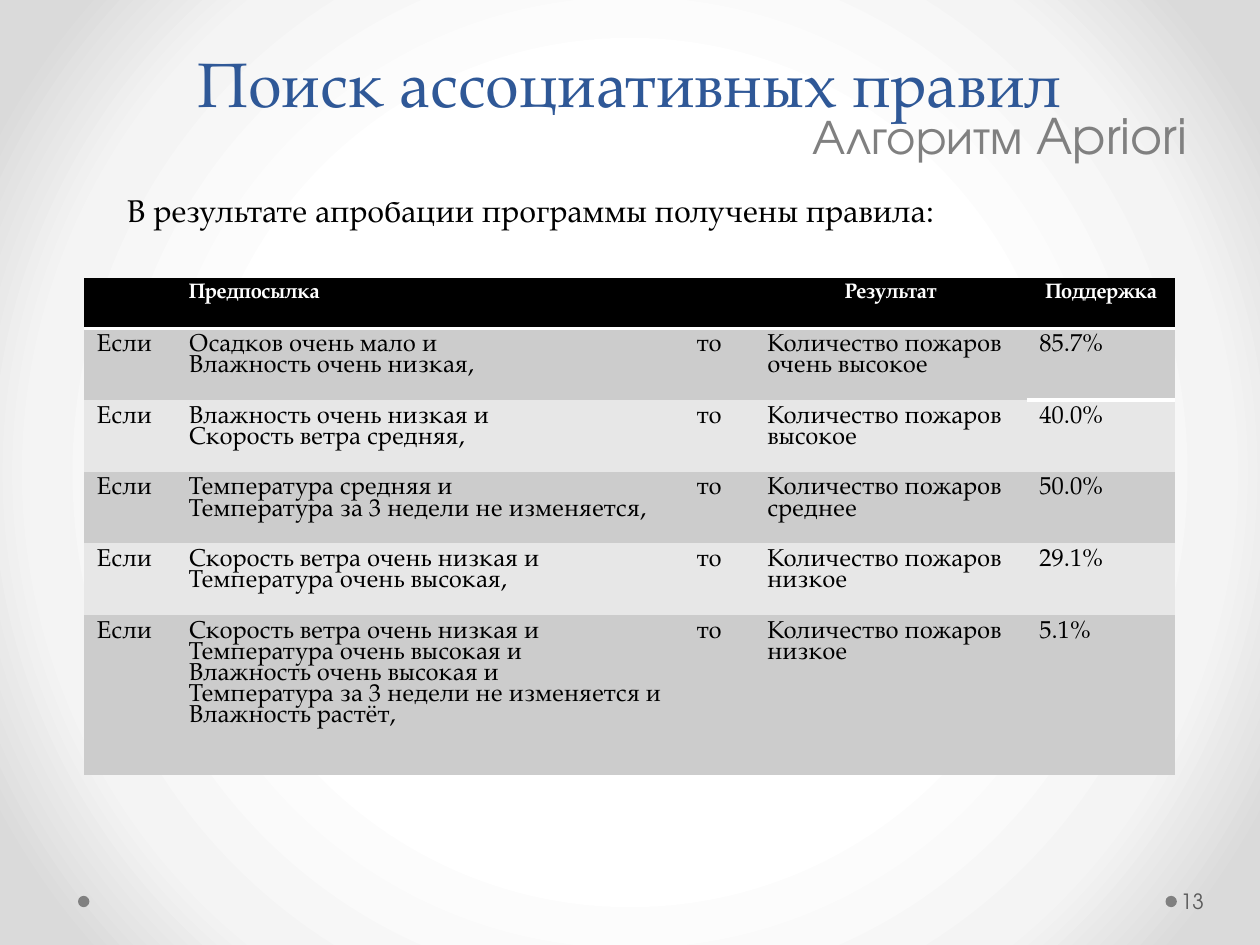
import pptx
import pptx.dml.color
import pptx.enum.shapes
import pptx.enum.text
import pptx.oxml
import pptx.util
from lxml import etree

Pt = pptx.util.Pt
Align = pptx.enum.text.PP_ALIGN
Anchor = pptx.enum.text.MSO_ANCHOR
SERIF, SANS = "TeX Gyre Pagella", "TeX Gyre Adventor"
NS = 'xmlns:a="http://schemas.openxmlformats.org/drawingml/2006/main"'
NS_P = 'xmlns:p="http://schemas.openxmlformats.org/presentationml/2006/main"'
PLAIN_TABLE = "{2D5ABB26-0587-4C30-8999-92F81FD0307C}"

HEADINGS = ["", "Предпосылка", "", "Результат", "Поддержка"]
RULES = [
    ("Осадков очень мало и\nВлажность очень низкая,", "очень высокое", "85.7%"),
    ("Влажность очень низкая и\nСкорость ветра средняя,", "высокое", "40.0%"),
    ("Температура средняя и\nТемпература за 3 недели не изменяется,", "среднее", "50.0%"),
    ("Скорость ветра очень низкая и Температура очень высокая,", "низкое", "29.1%"),
    ("Скорость ветра очень низкая и\nТемпература очень высокая и\n"
     "Влажность очень высокая и\nТемпература за 3 недели не изменяется и\n"
     "Влажность растёт,", "низкое", "5.1%"),
]


def color(hex_code):
    """Turn a hex string into a colour."""
    return pptx.dml.color.RGBColor.from_string(hex_code)


def write(frame, text, size, font, ink, align=Align.LEFT, spacing=None, bold=False):
    """Fill a text frame with evenly styled paragraphs."""
    frame.text = text
    for paragraph in frame.paragraphs:
        paragraph.alignment = align
        paragraph.line_spacing = spacing
        paragraph.font.size = Pt(size)
        paragraph.font.name = font
        paragraph.font.bold = bold
        paragraph.font.color.rgb = color(ink)


def add_text(slide, box, text, size, font, ink, anchor=Anchor.TOP, left_inset=7.2, **style):
    """Place a wrapping text box."""
    frame = slide.shapes.add_textbox(*map(Pt, box)).text_frame
    frame.word_wrap = True
    frame.vertical_anchor = anchor
    frame.margin_left = Pt(left_inset)
    write(frame, text, size, font, ink, **style)


def paint_background(slide):
    """Give the slide a radial gradient from white to grey."""
    stops = "".join(
        f'<a:gs pos="{percent * 1000}"><a:srgbClr val="{shade}"/></a:gs>'
        for percent, shade in [(50, "FFFFFF"), (76, "F4F4F4"), (92, "DADADA")])
    background = pptx.oxml.parse_xml(
        f'<p:bg {NS} {NS_P}><p:bgPr><a:gradFill rotWithShape="1"><a:gsLst>{stops}</a:gsLst>'
        '<a:path path="circle"><a:fillToRect l="50000" t="50000" r="50000" b="50000"/></a:path>'
        '</a:gradFill><a:effectLst/></p:bgPr></p:bg>')
    slide.element.cSld.insert(0, background)


def add_heading(slide, box):
    """Place the title, with the subtitle under its right end."""
    left, top, width, height = box
    add_text(slide, box, "Поиск ассоциативных правил", 36, SERIF, "2F5897",
             anchor=Anchor.BOTTOM, align=Align.CENTER, spacing=Pt(58))
    add_text(slide, (left + 341.3, top + 51.1, 308.2, 22.3), "Алгоритм Apriori", 28, SANS,
             "808080", anchor=Anchor.MIDDLE, align=Align.RIGHT)


def border(cell, side, width):
    """Draw a white line on one side (T or B) of a cell."""
    line = etree.fromstring(
        f'<a:ln{side} {NS} w="{Pt(width)}"><a:solidFill><a:srgbClr val="FFFFFF"/>'
        f'</a:solidFill></a:ln{side}>')
    cell._tc.get_or_add_tcPr().insert(0, line)


def add_rules(slide, box):
    """Place the table of association rules."""
    rows = [HEADINGS] + [["Если", premise, "то", f"Количество пожаров {result}", support]
                         for premise, result, support in RULES]
    frame = slide.shapes.add_table(len(rows), len(HEADINGS), *map(Pt, box))
    table = frame.table
    table.first_row = table.horz_banding = False
    table._tbl.tblPr.find(pptx.oxml.ns.qn("a:tableStyleId")).text = PLAIN_TABLE
    for column, width in zip(table.columns, [52.6, 290.2, 40.3, 155.5, 85]):
        column.width = Pt(width)
    for row, height in zip(table.rows, [28.5] + [41] * 4 + [91.2]):
        row.height = Pt(height)
    for r, texts in enumerate(rows):
        for c, text in enumerate(texts):
            cell = table.cell(r, c)
            cell.fill.solid()
            if r == 0:
                cell.fill.fore_color.rgb = color("000000")
                write(cell.text_frame, text, 12, SERIF, "FFFFFF", bold=True, spacing=0.85,
                      align=Align.CENTER if c > 2 else Align.LEFT)
                border(cell, "B", 2.25 if c == 4 else 2)
            else:
                cell.fill.fore_color.rgb = color("CCCCCC" if r % 2 else "E7E7E7")
                write(cell.text_frame, text, 14, SERIF, "000000", spacing=0.85)
    border(table.cell(1, 4), "T", 2.25)


def add_footer(slide, box):
    """Place a dot at each end of the footer and the slide number."""
    left, top, width, height = box
    for dot_left in (left, left + width):
        dot = slide.shapes.add_shape(pptx.enum.shapes.MSO_SHAPE.OVAL,
                                     Pt(dot_left), Pt(top + 11.5), Pt(6.5), Pt(6.5))
        dot.shadow.inherit = False
        dot.fill.solid()
        dot.fill.fore_color.rgb = color("808080")
        dot.line.fill.background()
    add_text(slide, (left + width + 6.5, top, 43.9, height), "13", 12, SANS, "595959",
             anchor=Anchor.MIDDLE, left_inset=2.2)


def build():
    """Build and save the slide."""
    deck = pptx.Presentation()
    deck.slide_width, deck.slide_height = Pt(720), Pt(540)
    slide = deck.slides.add_slide(deck.slide_layouts[6])
    paint_background(slide)
    add_heading(slide, (36, 15.1, 648, 56.9))
    add_text(slide, (65.5, 105.8, 595.4, 28.8),
             "В результате апробации программы получены правила:", 18, SERIF, "000000")
    add_rules(slide, (48.2, 159.1, 623.6, 283.7))
    add_footer(slide, (44.6, 500.4, 621.4, 28.8))
    deck.save("out.pptx")


build()
